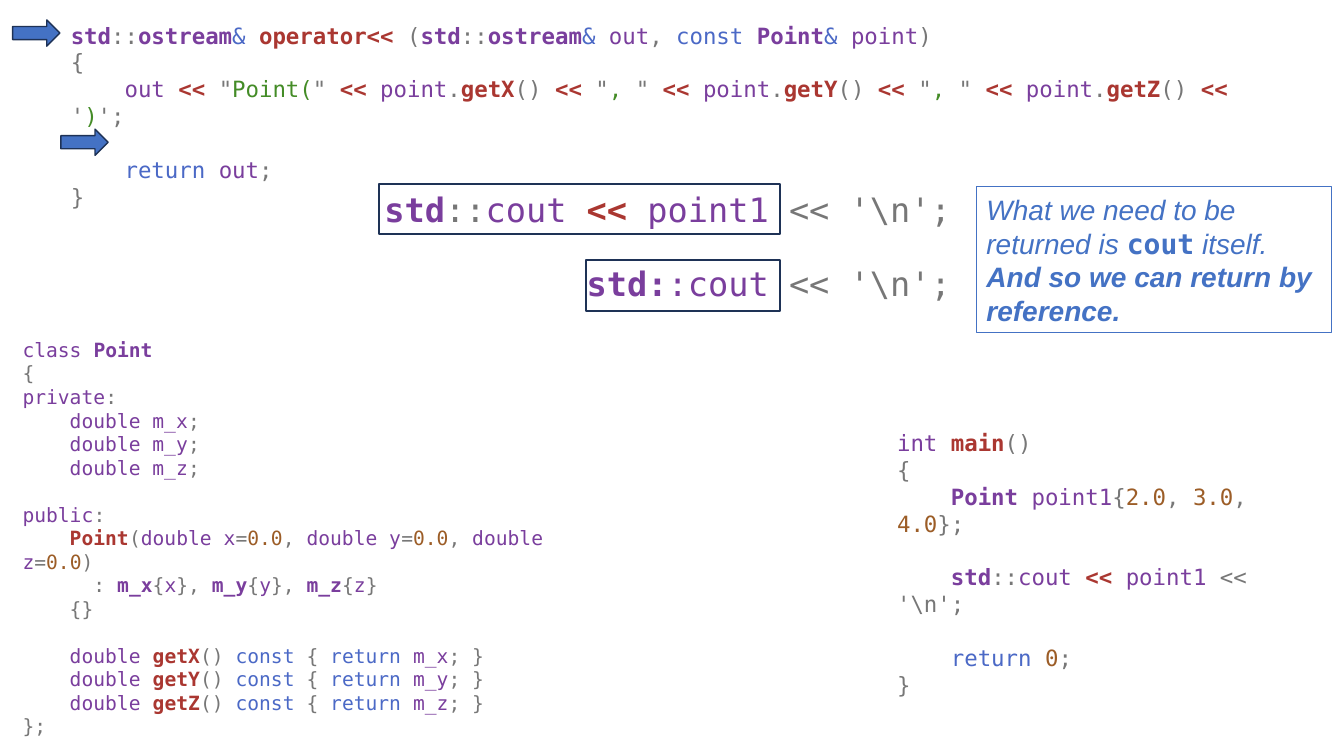
import pptx
import pptx.dml.color
import pptx.enum.shapes
import pptx.enum.text
import pptx.util
from dataclasses import dataclass

RGBColor = pptx.dml.color.RGBColor
MSO_SHAPE = pptx.enum.shapes.MSO_SHAPE
MSO_ANCHOR = pptx.enum.text.MSO_ANCHOR
PP_ALIGN = pptx.enum.text.PP_ALIGN

PURPLE = RGBColor(0x7A, 0x3E, 0x9D)
RED = RGBColor(0xAA, 0x37, 0x31)
GRAY = RGBColor(0x77, 0x77, 0x77)
KEYWORD_BLUE = RGBColor(0x4B, 0x69, 0xC6)
BROWN = RGBColor(0x9C, 0x5D, 0x27)
GREEN = RGBColor(0x44, 0x8C, 0x27)
ACCENT = RGBColor(0x44, 0x72, 0xC4)
NAVY = RGBColor(0x1E, 0x32, 0x56)

CODE_FONT = "DejaVu Sans Mono"
PROSE_FONT = "Arial"
LINE_HEIGHT = 1.2
EMU_PER_PX = 9525


@dataclass
class TextStyle:
    color: RGBColor
    bold: bool = False
    italic: bool = False
    font: str = CODE_FONT


# A backtick and one of these letters switches the style within a line.
STYLES = {
    "v": TextStyle(PURPLE),
    "V": TextStyle(PURPLE, bold=True),
    "f": TextStyle(RED, bold=True),
    "p": TextStyle(GRAY),
    "k": TextStyle(KEYWORD_BLUE),
    "n": TextStyle(BROWN),
    "s": TextStyle(GREEN),
    "c": TextStyle(ACCENT, bold=True),
    "i": TextStyle(ACCENT, italic=True, font=PROSE_FONT),
    "I": TextStyle(ACCENT, bold=True, italic=True, font=PROSE_FONT),
}

FIELDS = "\n".join(f"`v    double m_{axis}`p;" for axis in "xyz")
GETTERS = "\n".join(
    f"`v    double `fget{axis.upper()}`p() `kconst `p{{ `kreturn `vm_{axis}`p; }}"
    for axis in "xyz")

POINT_CLASS = f"""`vclass `VPoint
`p{{
`vprivate`p:
{FIELDS}

`vpublic`p:
`f    Point`p(`vdouble x`p=`n0.0`p, `vdouble y`p=`n0.0`p, `vdouble z`p=`n0.0`p)
`p      : `Vm_x`p{{`vx`p}}, `Vm_y`p{{`vy`p}}, `Vm_z`p{{`vz`p}}
`p    {{}}

{GETTERS}
`p}};"""

PRINT_POINT = r"`Vstd`p::`vcout `f<< `vpoint1 `p<< '\n';"

MAIN_FUNCTION = f"""`vint `fmain`p()
`p{{
`V    Point `vpoint1`p{{`n2.0`p, `n3.0`p, `n4.0`p}};

`p    {PRINT_POINT}

`k    return `n0`p;
`p}}"""

OUTPUT_OPERATOR = """`Vstd`p::`Vostream`k& `foperator<< `p(`Vstd`p::`Vostream`k& `vout`p, `kconst `VPoint`k& `vpoint`p)
`p{
`v    out `f<< `p"`sPoint(`p" `f<< `vpoint`p.`fgetX`p() `f<< `p"`s, `p" `f<< `vpoint`p.`fgetY`p() `f<< `p"`s, `p" `f<< `vpoint`p.`fgetZ`p() `f<< `p'`s)`p';

`k    return `vout`p;
`p}"""

REMAINING_PRINT = r"`Vstd:`v:cout `p<< '\n';"

CALLOUT = """`iWhat we need to be returned is `ccout`i itself.
`IAnd so we can return by reference."""


def add_run(paragraph, text, *, size, style):
    run = paragraph.add_run()
    run.text = text
    font = run.font
    font.size = pptx.util.Pt(size)
    font.name = style.font
    font.bold = style.bold
    font.italic = style.italic
    font.color.rgb = style.color


class SlideBuilder:
    def __init__(self, slide):
        self.slide = slide

    def bounds(self, box):
        return [pptx.util.Emu(length * EMU_PER_PX) for length in box]

    def fill_text(self, shape, text, size, align=PP_ALIGN.LEFT, anchor=MSO_ANCHOR.TOP):
        """Set marked-up lines; an empty line becomes space before the next."""
        frame = shape.text_frame
        frame.word_wrap = True
        frame.vertical_anchor = anchor
        paragraph = None
        gap = 0
        for line in text.split("\n"):
            if not line:
                gap = size * LINE_HEIGHT
                continue
            paragraph = frame.add_paragraph() if paragraph else frame.paragraphs[0]
            paragraph.alignment = align
            if gap:
                paragraph.space_before = pptx.util.Pt(gap)
                gap = 0
            for part in line.split("`")[1:]:
                if part[1:]:
                    add_run(paragraph, part[1:], size=size, style=STYLES[part[0]])

    def code(self, box, text, size, align=PP_ALIGN.LEFT):
        shape = self.slide.shapes.add_textbox(*self.bounds(box))
        self.fill_text(shape, text, size, align)

    def outline(self, box, color=NAVY, width=1.5, kind=MSO_SHAPE.RECTANGLE):
        shape = self.slide.shapes.add_shape(kind, *self.bounds(box))
        shape.shadow.inherit = False
        shape.fill.background()
        shape.line.color.rgb = color
        shape.line.width = pptx.util.Pt(width)
        return shape

    def callout(self, box, text, size):
        shape = self.outline(box, ACCENT, 0.75)
        self.fill_text(shape, text, size, anchor=MSO_ANCHOR.MIDDLE)

    def arrow(self, left, top):
        shape = self.outline((left, top, 45, 25), width=1, kind=MSO_SHAPE.RIGHT_ARROW)
        shape.fill.solid()
        shape.fill.fore_color.rgb = ACCENT


def main():
    presentation = pptx.Presentation()
    presentation.slide_width = pptx.util.Emu(1280 * EMU_PER_PX)
    presentation.slide_height = pptx.util.Emu(720 * EMU_PER_PX)
    builder = SlideBuilder(presentation.slides.add_slide(presentation.slide_layouts[6]))

    builder.code((12, 317, 583, 372), POINT_CLASS, 14)
    builder.code((845, 404, 424, 217), MAIN_FUNCTION, 16)
    builder.code((58, 16, 1165, 165), OUTPUT_OPERATOR, 16)
    builder.code((275, 175, 640, 48), PRINT_POINT, 24, PP_ALIGN.RIGHT)
    builder.outline((361, 175, 382, 48))
    builder.code((275, 246, 640, 48), REMAINING_PRINT, 24, PP_ALIGN.RIGHT)
    builder.outline((558, 248, 185, 48))
    builder.callout((930, 178, 338, 139), CALLOUT, 20)
    builder.arrow(12, 19)
    builder.arrow(58, 123)
    presentation.save("out.pptx")


if __name__ == "__main__":
    main()
